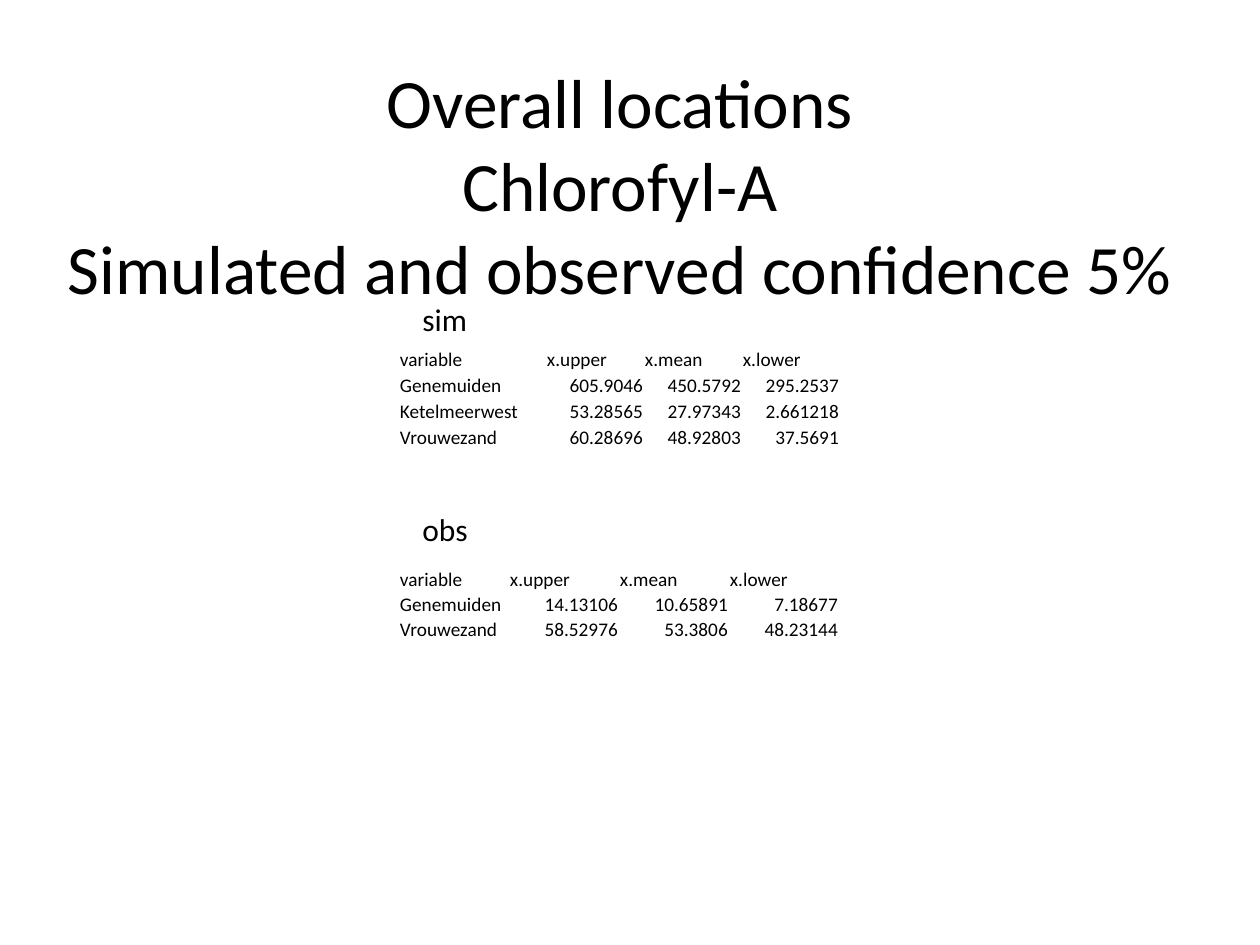
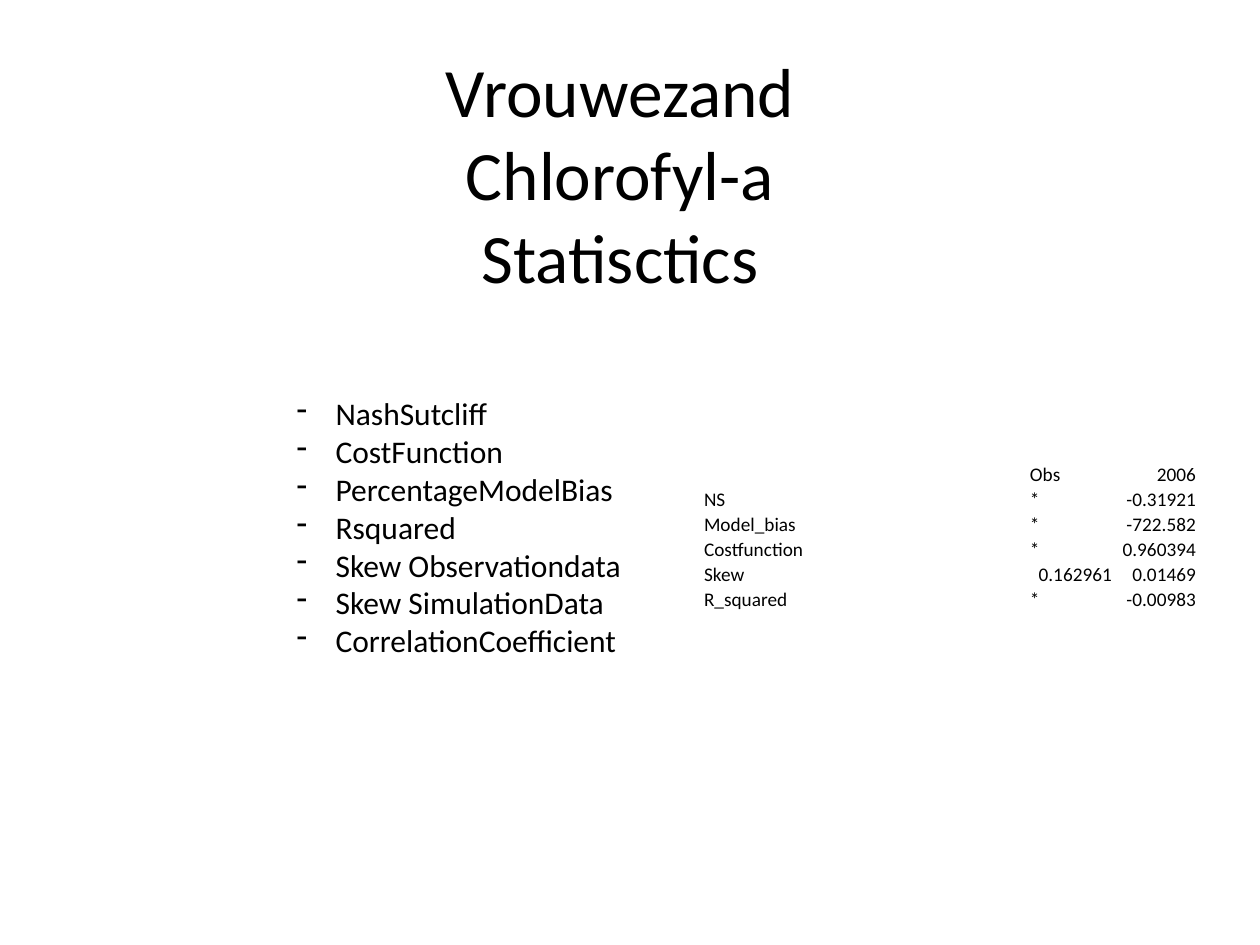
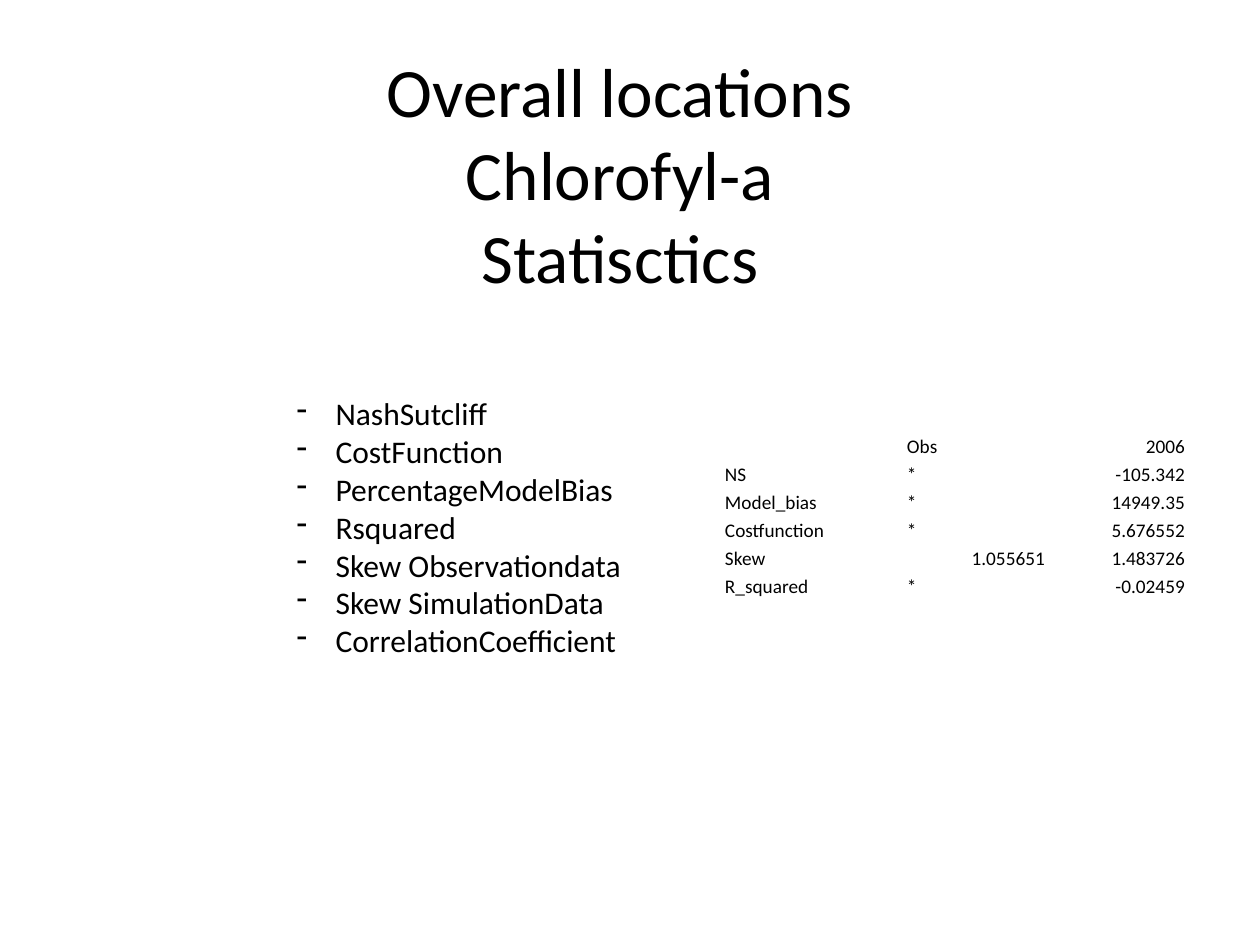
from dataclasses import dataclass

from lxml import etree
from pptx import Presentation
from pptx import util as u
from pptx.dml.color import RGBColor
from pptx.enum import text
from pptx.oxml.ns import qn

PX = u.Inches(1) / 126


@dataclass(frozen=True)
class Theme:
    font: str = "Calibri"
    ink: RGBColor = RGBColor(0, 0, 0)
    title: float = 39.6
    body: float = 18
    cell: float = 11


theme = Theme()


def write(sp, content, size, box=None, align=text.PP_ALIGN.LEFT):
    """Fill a shape or cell with styled text; box is left, top, width, height in px."""
    if box:
        sp.left, sp.top, sp.width, sp.height = (round(v * PX) for v in box)
    tf = sp.text_frame
    tf.text = content
    tf.word_wrap = True
    for p in tf.paragraphs:
        p.alignment = align
        p.space_before = u.Pt(0)
        for r in p.runs:
            r.font.name = theme.font
            r.font.size = u.Pt(size)
            r.font.color.rgb = theme.ink
        if not p.runs:
            etree.SubElement(p._p, qn("a:endParaRPr"), sz=str(size * 100))
    return tf


def add_plain_table(s, left, top, widths, row_height, rows):
    """Add a table without fills whose numbers are set to the right."""
    box = (left, top, sum(widths), row_height * len(rows))
    frame = s.shapes.add_table(len(rows), len(widths), *(round(v * PX) for v in box))
    table = frame.table
    table.first_row = table.horz_banding = False
    for col, width in zip(table.columns, widths):
        col.width = round(width * PX)
    for row, values in zip(table.rows, rows):
        row.height = round(row_height * PX)
        for cell, value in zip(row.cells, values):
            numeric = not value.strip("-.0123456789")
            align = text.PP_ALIGN.RIGHT if numeric else text.PP_ALIGN.LEFT
            cell.fill.background()
            cell.vertical_anchor = text.MSO_ANCHOR.BOTTOM
            cell.margin_left = cell.margin_right = cell.margin_top = round(PX)
            cell.margin_bottom = 0
            write(cell, value, theme.cell, align=align)


prs = Presentation()
prs.slide_width, prs.slide_height = round(1260 * PX), round(945 * PX)
content_layout, title_only_layout = prs.slide_layouts[1], prs.slide_layouts[5]

header = ["variable", "x.upper", "x.mean", "x.lower"]
confidence_tables = [
    ("sim", (410, 294, 357, 50), 346, [147, 98, 98, 98], 26, [
        header,
        ["Genemuiden", "605.9046", "450.5792", "295.2537"],
        ["Ketelmeerwest", "53.28565", "27.97343", "2.661218"],
        ["Vrouwezand", "60.28696", "48.92803", "37.5691"],
    ]),
    ("obs", (410, 504, 136, 50), 567, [110] * 4, 25, [
        header,
        ["Genemuiden", "14.13106", "10.65891", "7.18677"],
        ["Vrouwezand", "58.52976", "53.3806", "48.23144"],
    ]),
]

measures = [
    "NashSutcliff", "CostFunction", "PercentageModelBias", "Rsquared",
    "Skew Observationdata", "Skew SimulationData", "CorrelationCoefficient",
]
row_names = ["", "NS", "Model_bias", "Costfunction", "Skew", "R_squared"]
statistics = [
    ("Vrouwezand", 703, 462, [326, 84, 84], 25, "0.162961",
     ["2006", "-0.31921", "-722.582", "0.960394", "0.01469", "-0.00983"]),
    ("Overall locations", 724, 431, [182, 140, 140], 28, "1.055651",
     ["2006", "-105.342", "14949.35", "5.676552", "1.483726", "-0.02459"]),
]

# Confidence slide
s = prs.slides.add_slide(title_only_layout)
titles = [(s, "Overall locations\vChlorofyl-A\vSimulated and observed confidence 5%", 105)]
for label, label_box, top, widths, row_height, rows in confidence_tables:
    add_plain_table(s, 399, top, widths, row_height, rows)
    write(s.shapes.add_textbox(0, 0, 0, 0), label, theme.body, label_box)

# Statistics slides
for place, left, top, widths, row_height, observed_skew, simulated in statistics:
    s = prs.slides.add_slide(content_layout)
    titles.append((s, f"{place}\vChlorofyl-a\vStatisctics", 94))
    tf = write(s.placeholders[1], "\n".join(measures), theme.body, (284, 388, 777, 280))
    tf.auto_size = text.MSO_AUTO_SIZE.NONE
    for p in tf.paragraphs:
        pPr = p._p.get_or_add_pPr()
        pPr.set("marL", str(round(39 * PX)))
        pPr.set("indent", str(round(-39 * PX)))
        etree.SubElement(pPr, qn("a:buFontTx"))
        etree.SubElement(pPr, qn("a:buChar"), char="-")
    observed = ["Obs", "*", "*", "*", observed_skew, "*"]
    add_plain_table(s, left, top, widths, row_height,
                    list(zip(row_names, observed, simulated)))

for s, title, top in titles:
    tf = write(s.shapes.title, title, theme.title, (53, top, 1134, 158), text.PP_ALIGN.CENTER)
    tf.auto_size = text.MSO_AUTO_SIZE.NONE
    tf.vertical_anchor = text.MSO_ANCHOR.MIDDLE

prs.save("out.pptx")
